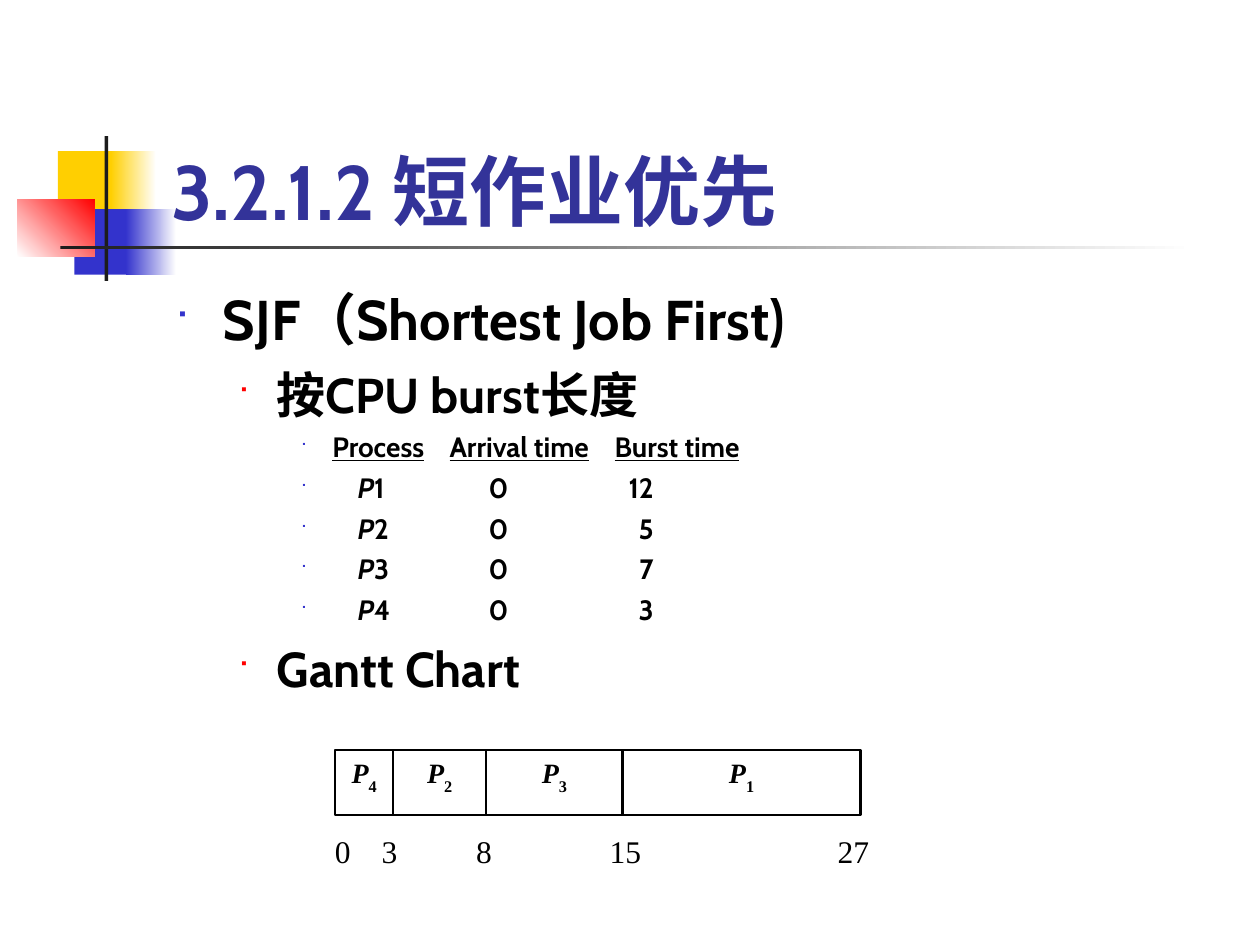
"""Build the shortest-job-first scheduling slide with its Gantt chart."""
from dataclasses import dataclass

from lxml.etree import SubElement
from pptx import Presentation
from pptx.dml.color import RGBColor as RGB
from pptx.enum.shapes import MSO_SHAPE as Preset
from pptx.enum.text import MSO_ANCHOR as Anchor, PP_ALIGN as Align
from pptx.oxml.ns import qn
from pptx.util import Inches, Pt


@dataclass(frozen=True)
class Theme:
    heading_font: str = "Cabin"
    chart_font: str = "Times New Roman"
    title_color: str = "333399"
    text_color: str = "000000"
    white: str = "FFFFFF"
    yellow: str = "FFCF01"
    blue: str = "3333CC"
    red: str = "FF0000"
    dark: str = "1C1C1C"
    title_size: int = 44
    topic_size: int = 32
    point_size: int = 28
    row_size: int = 16
    axis_size: int = 18


class SlideBuilder:
    def __init__(self, slide, theme):
        self.slide = slide
        self.theme = theme

    def rectangle(self, left, top, width, height, fill, line=None, line_width=1.25):
        shape = self.slide.shapes.add_shape(
            Preset.RECTANGLE, Inches(left), Inches(top), Inches(width), Inches(height))
        shape.shadow.inherit = False
        shape.fill.solid()
        shape.fill.fore_color.rgb = RGB.from_string(fill)
        if line:
            shape.line.color.rgb = RGB.from_string(line)
            shape.line.width = Pt(line_width)
        else:
            shape.line.fill.background()
        return shape

    def gradient(self, left, top, width, height, start, end, angle=0):
        fill = self.rectangle(left, top, width, height, start).fill
        fill.gradient()
        fill.gradient_angle = angle
        for stop, color in zip(fill.gradient_stops, (start, end)):
            stop.color.rgb = RGB.from_string(color)

    def text_box(self, left, top, width, height, anchor=Anchor.TOP):
        box = self.slide.shapes.add_textbox(
            Inches(left), Inches(top), Inches(width), Inches(height))
        frame = box.text_frame
        frame.word_wrap = True
        frame.vertical_anchor = anchor
        return frame

    def run(self, paragraph, text, size, font=None, color=None, bold=True,
            italic=False, underline=False):
        run = paragraph.add_run()
        run.text = text
        run.font.name = font or self.theme.heading_font
        run.font.size = Pt(size)
        run.font.bold = bold
        run.font.italic = italic
        run.font.underline = underline
        run.font.color.rgb = RGB.from_string(color or self.theme.text_color)
        return run

    def bullet(self, paragraph, level, margin, hanging, before, color, percent):
        paragraph.level = level
        paragraph.space_before = Pt(before)
        properties = paragraph._p.get_or_add_pPr()
        properties.set("marL", str(Inches(margin)))
        properties.set("indent", str(-Inches(hanging)))
        bullet_color = SubElement(properties, qn("a:buClr"))
        SubElement(bullet_color, qn("a:srgbClr"), val=color)
        SubElement(properties, qn("a:buSzPct"), val=str(percent * 1000))
        SubElement(properties, qn("a:buFont"), typeface="Wingdings")
        SubElement(properties, qn("a:buChar"), char="■")

    def tabs(self, paragraph, stops):
        tab_list = SubElement(paragraph._p.get_or_add_pPr(), qn("a:tabLst"))
        for position, alignment in stops:
            SubElement(tab_list, qn("a:tab"), pos=str(Inches(position)), algn=alignment)

    def topic(self, paragraph, text):
        self.bullet(paragraph, 0, 0.38, 0.38, 8, self.theme.blue, 60)
        self.run(paragraph, text, self.theme.topic_size)

    def point(self, paragraph, text):
        self.bullet(paragraph, 1, 0.81, 0.31, 7, self.theme.red, 55)
        self.run(paragraph, text, self.theme.point_size)

    def row(self, paragraph, margin, stops):
        self.bullet(paragraph, 2, margin, margin - 1, 4, self.theme.blue, 50)
        self.tabs(paragraph, stops)

    def header_row(self, paragraph, labels):
        self.row(paragraph, 1.25, [(2.18, "l"), (3.49, "l")])
        for index, label in enumerate(labels):
            if index:
                self.run(paragraph, "\t", self.theme.row_size)
            self.run(paragraph, label, self.theme.row_size, underline=True)

    def process_row(self, paragraph, number, arrival, burst):
        self.row(paragraph, 1.45, [(2.49, "l"), (3.8, "r")])
        self.run(paragraph, "P", self.theme.row_size, italic=True)
        self.run(paragraph, f"{number}\t{arrival}\t{burst}", self.theme.row_size)

    def gantt_bar(self, left, right, number):
        theme = self.theme
        shape = self.rectangle(left, 5.95, right - left, 0.52, theme.white, theme.text_color)
        frame = shape.text_frame
        frame.vertical_anchor = Anchor.TOP
        paragraph = frame.paragraphs[0]
        paragraph.alignment = Align.CENTER
        self.run(paragraph, "P", theme.row_size, theme.chart_font, italic=True)
        subscript = self.run(paragraph, str(number), theme.row_size, theme.chart_font)
        subscript.font._element.set("baseline", "-30000")

    def time_axis(self, times, offsets):
        theme = self.theme
        shape = self.rectangle(2.56, 6.59, 4.49, 0.36, theme.white, theme.white, 0.75)
        frame = shape.text_frame
        frame.margin_top = frame.margin_bottom = Inches(0.01)
        frame.vertical_anchor = Anchor.TOP
        paragraph = frame.paragraphs[0]
        paragraph.alignment = Align.LEFT
        self.tabs(paragraph, [(offset, "l") for offset in offsets])
        self.run(paragraph, "\t".join(map(str, times)), theme.axis_size,
                 theme.chart_font, bold=False)


def main():
    presentation = Presentation()
    presentation.slide_width, presentation.slide_height = Inches(10), Inches(7.5)
    theme = Theme()
    builder = SlideBuilder(
        presentation.slides.add_slide(presentation.slide_layouts[6]), theme)

    builder.rectangle(0.46, 1.2, 0.48, 0.52, theme.yellow)
    builder.gradient(0.88, 1.2, 0.36, 0.52, theme.yellow, theme.white)
    builder.rectangle(0.59, 1.66, 0.46, 0.52, theme.blue)
    builder.gradient(1, 1.66, 0.4, 0.52, theme.blue, theme.white)
    builder.gradient(0.14, 1.58, 0.61, 0.46, theme.white, theme.red, 45)
    builder.rectangle(0.83, 1.08, 0.03, 1.15, theme.dark)
    builder.gradient(0.48, 1.95, 9, 0.03, theme.dark, theme.white)

    title = builder.text_box(1.26, 0.67, 8.52, 1.25, Anchor.BOTTOM)
    builder.run(title.paragraphs[0], "3.2.1.2 短作业优先", theme.title_size,
                color=theme.title_color)

    body = builder.text_box(1.29, 2.21, 8.5, 4.5)
    builder.topic(body.paragraphs[0], "SJF（Shortest Job First)")
    builder.point(body.add_paragraph(), "按CPU burst长度")
    builder.header_row(body.add_paragraph(), ("Process", "Arrival time", "Burst time"))
    for number, burst in enumerate((12, 5, 7, 3), start=1):
        builder.process_row(body.add_paragraph(), number, 0, burst)
    builder.point(body.add_paragraph(), "Gantt Chart")

    builder.time_axis((0, 3, 8, 15, 27), (0.37, 1.12, 2.18, 3.99))
    edges = (2.66, 3.12, 3.86, 4.94, 6.83)
    for left, right, number in zip(edges, edges[1:], (4, 2, 3, 1)):
        builder.gantt_bar(left, right, number)

    presentation.save("out.pptx")


if __name__ == "__main__":
    main()
